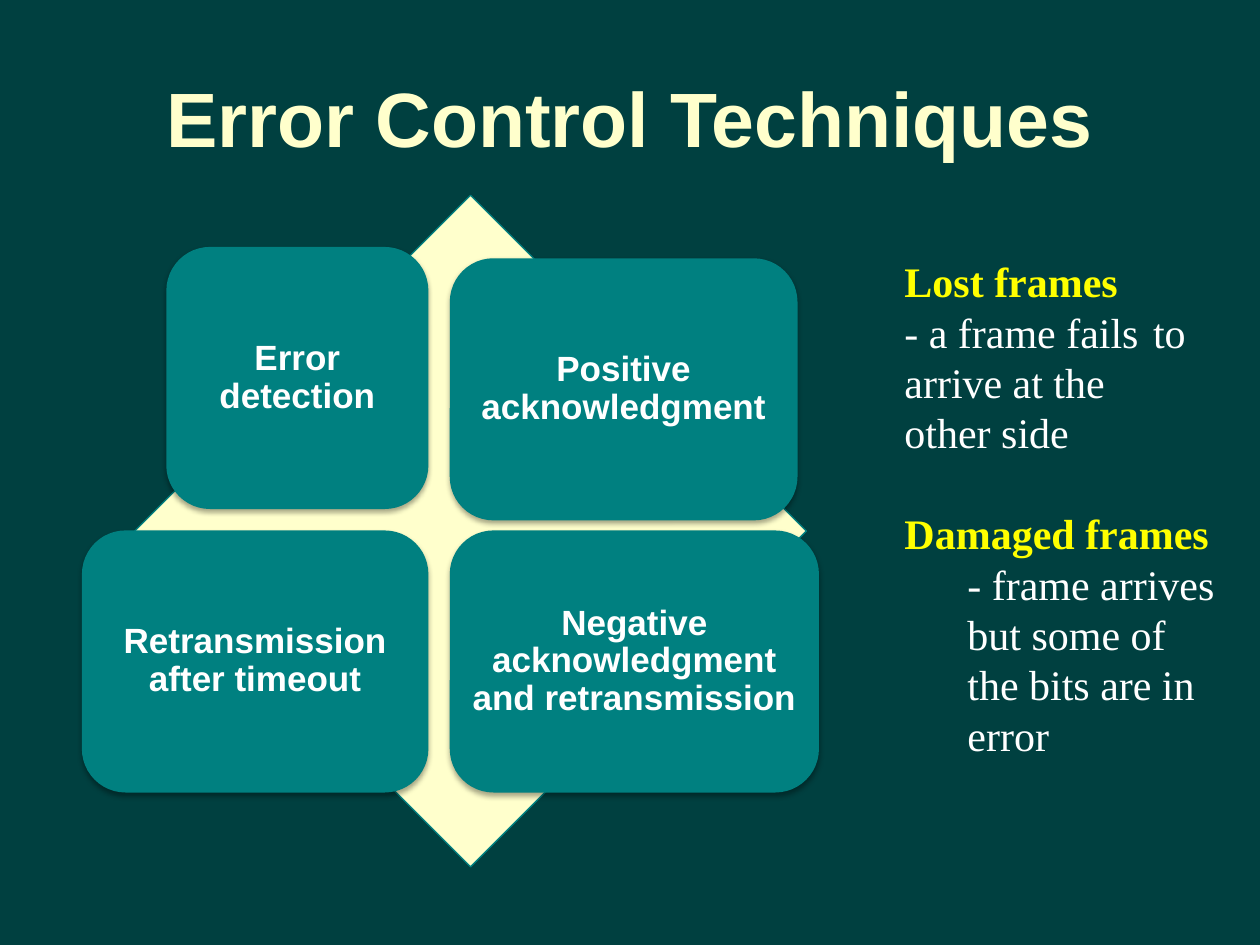
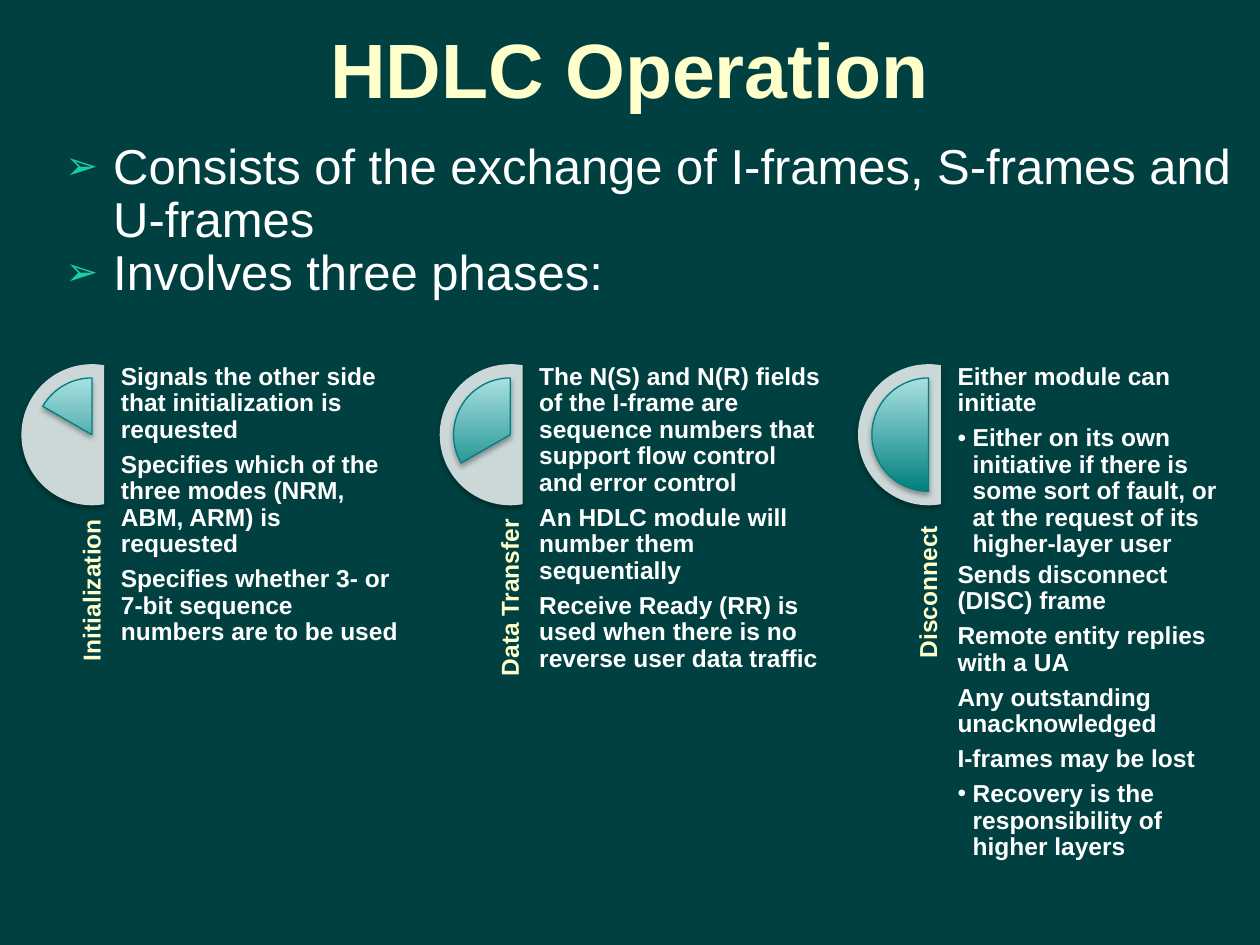
from dataclasses import dataclass

from lxml import etree
from pptx import Presentation
from pptx.dml.color import RGBColor
from pptx.enum.shapes import MSO_SHAPE as SHAPE
from pptx.enum.text import MSO_ANCHOR as ANCHOR, PP_ALIGN as ALIGN
from pptx.oxml import parse_xml
from pptx.oxml.ns import nsdecls, qn
from pptx.util import Inches, Pt


@dataclass(frozen=True)
class Theme:
    background: str = "004040"
    cream: str = "FFFFCC"
    teal: str = "008080"
    pale_teal: str = "A9E0E0"
    dial: str = "CCD8D8"
    white: str = "FFFFFF"
    yellow: str = "FFFF00"
    bullet: str = "1ACE9F"
    sans: str = "Arial"
    serif: str = "Times New Roman"
    title: int = 44
    body: int = 28
    note: int = 24
    card: int = 20
    phase: int = 14


T = Theme()

TECHNIQUES = [
    ("Error detection", (1.32, 1.96, 2.08, 2.08)),
    ("Positive acknowledgment", (3.57, 2.05, 2.76, 2.08)),
    ("Retransmission after timeout", (0.65, 4.21, 2.75, 2.08)),
    ("Negative acknowledgment and retransmission", (3.57, 4.21, 2.93, 2.08)),
]
FRAME_ERRORS = [
    ("Lost frames", "- a frame fails \tto arrive at the \tother side", 0.5),
    ("Damaged frames", "- frame arrives but some of the bits are in error", 1),
]
POINTS = [
    ("Consists of the exchange of I-frames, S-frames and U-frames", (0.42, 1.08, 9.58, 1.35)),
    ("Involves three phases:", (0.42, 1.92, 8.42, 0.98)),
]
PHASES = [
    ("Initialization", [
        (0, "Signals the other side that initialization is requested"),
        (0, "Specifies which of the three modes (NRM, ABM, ARM) is requested"),
        (0, "Specifies whether 3- or 7-bit sequence numbers are to be used"),
    ]),
    ("Data Transfer", [
        (0, "The N(S) and N(R) fields of the I-frame are sequence numbers that "
            "support flow control and error control"),
        (0, "An HDLC module will number them sequentially"),
        (0, "Receive Ready (RR) is used when there is no reverse user data traffic"),
    ]),
    ("Disconnect ", [
        (0, "Either module can initiate"),
        (1, "Either on its own initiative if there is some sort of fault, or at "
            "the request of its higher-layer user"),
        (0, "Sends disconnect (DISC) frame"),
        (0, "Remote entity replies with a UA"),
        (0, "Any outstanding unacknowledged"),
        (0, "I-frames may be lost"),
        (1, "Recovery is the responsibility of higher layers"),
    ]),
]
PHASE_LEFT, PHASE_TOP, PHASE_STEP = 0.17, 2.89, 3.32


def rgb(color):
    return RGBColor.from_string(color)


def inches(box):
    return [Inches(v) for v in box]


def write(p, text, size, color, font=T.sans, bold=True, align=ALIGN.LEFT,
          spacing=None, before=0, after=0):
    p.text = text
    p.alignment = align
    p.line_spacing = spacing
    p.space_before, p.space_after = Pt(before), Pt(after)
    for r in p.runs:
        r.font.size, r.font.bold, r.font.name = Pt(size), bold, font
        r.font.color.rgb = rgb(color)


def indent(p, left, first=0):
    pPr = p._p.get_or_add_pPr()
    pPr.set("marL", str(Inches(left)))
    pPr.set("indent", str(Inches(first)))
    return pPr


def add_bullet(p, char, hang, color=None, percent=100):
    pPr = indent(p, hang, -hang)
    if color:
        clr = etree.SubElement(pPr, qn("a:buClr"))
        etree.SubElement(clr, qn("a:srgbClr")).set("val", color)
    etree.SubElement(pPr, qn("a:buSzPct")).set("val", str(percent * 1000))
    etree.SubElement(pPr, qn("a:buFont")).set("typeface", T.sans)
    etree.SubElement(pPr, qn("a:buChar")).set("char", char)


def set_frame(tf, inset=None, anchor=ANCHOR.TOP):
    tf.word_wrap = True
    tf.vertical_anchor = anchor
    if inset is not None:
        tf.margin_left = tf.margin_right = Inches(inset)
        tf.margin_top = tf.margin_bottom = Inches(inset)
    return tf


def add_text(slide, box, inset=None, anchor=ANCHOR.TOP):
    sp = slide.shapes.add_textbox(*inches(box))
    return sp, set_frame(sp.text_frame, inset, anchor)


def paragraphs(tf, count):
    return [tf.paragraphs[0]] + [tf.add_paragraph() for _ in range(count - 1)]


def add_figure(slide, kind, box, fill, line=None, shadow=True, adjust=()):
    sp = slide.shapes.add_shape(kind, *inches(box))
    for i, value in enumerate(adjust):
        sp.adjustments[i] = value
    if isinstance(fill, tuple):
        sp.fill.gradient()
        sp.fill.gradient_angle = 90
        for stop, color in zip(sp.fill.gradient_stops, fill):
            stop.color.rgb = rgb(color)
    else:
        sp.fill.solid()
        sp.fill.fore_color.rgb = rgb(fill)
    if line:
        sp.line.color.rgb = rgb(line)
        sp.line.width = Pt(0.75)
    else:
        sp.line.fill.background()
    sp.shadow.inherit = False
    if shadow:
        sp._element.spPr.find(qn("a:effectLst")).append(parse_xml(
            f'<a:outerShdw {nsdecls("a")} blurRad="{Pt(3.1)}" dist="{Pt(1.8)}" '
            'dir="5400000" rotWithShape="0"><a:srgbClr val="000000">'
            '<a:alpha val="35000"/></a:srgbClr></a:outerShdw>'))
    return sp


def add_slide(prs, title, box):
    slide = prs.slides.add_slide(prs.slide_layouts[5])
    sp = slide.shapes.title
    sp.left, sp.top, sp.width, sp.height = inches(box)
    tf = set_frame(sp.text_frame, anchor=ANCHOR.MIDDLE)
    write(tf.paragraphs[0], title, T.title, T.cream, align=ALIGN.CENTER)
    return slide


def build_techniques(prs):
    slide = add_slide(prs, "Error Control Techniques", (0.5, 0.3, 9, 1.25))
    add_figure(slide, SHAPE.DIAMOND, (1.07, 1.55, 5.33, 5.33), T.cream, T.teal, shadow=False)
    for text, box in TECHNIQUES:
        card = add_figure(slide, SHAPE.ROUNDED_RECTANGLE, box, T.teal)
        tf = set_frame(card.text_frame, 0.08, ANCHOR.MIDDLE)
        write(tf.paragraphs[0], text, T.card, T.white, align=ALIGN.CENTER, spacing=0.9)
    _, tf = add_text(slide, (6.58, 1.98, 3.17, 4.14))
    ps = paragraphs(tf, 2 * len(FRAME_ERRORS))
    for i, (name, meaning, left) in enumerate(FRAME_ERRORS):
        head, detail = ps[2 * i:2 * i + 2]
        write(head, name, T.note, T.yellow, T.serif, before=28.8 if i else 0)
        write(detail, meaning, T.note, T.white, T.serif, bold=False)
        indent(head, 0.5)
        indent(detail, left)


def add_phase(slide, index, name, notes):
    x, y = PHASE_LEFT + index * PHASE_STEP, PHASE_TOP
    add_figure(slide, SHAPE.CHORD, (x, y, 1.12, 1.12), T.dial, adjust=(48, 168))
    add_figure(slide, SHAPE.PIE, (x + 0.11, y + 0.11, 0.9, 0.9), (T.teal, T.pale_teal),
               T.teal, adjust=(126 - 36 * index, 162))
    label, tf = add_text(slide, (x - 1.29, 5.41, 3.25, 0.67), 0, ANCHOR.BOTTOM)
    label.rotation = 270
    write(tf.paragraphs[0], name, T.phase, T.cream, align=ALIGN.RIGHT, spacing=0.9)
    _, tf = add_text(slide, (x + 0.79, y, 2.24, 4.48), 0)
    for p, (level, text) in zip(paragraphs(tf, len(notes)), notes):
        write(p, text, T.phase, T.white, spacing=0.9, after=2.1 if level else 4.9)
        if level:
            p.level = level
            add_bullet(p, "•", 0.12)


def build_hdlc(prs):
    slide = add_slide(prs, "HDLC Operation", (0.5, 0, 9, 1.08))
    for i, (name, notes) in enumerate(PHASES):
        add_phase(slide, i, name, notes)
    for text, box in POINTS:
        _, tf = add_text(slide, box)
        p = tf.paragraphs[0]
        write(p, text, T.body, T.white, bold=False, spacing=0.9, before=5.6)
        add_bullet(p, "➢", 0.38, T.bullet, 80)


def main():
    prs = Presentation()
    prs.slide_width, prs.slide_height = Inches(10), Inches(7.5)
    fill = prs.slide_master.background.fill
    fill.solid()
    fill.fore_color.rgb = rgb(T.background)
    build_techniques(prs)
    build_hdlc(prs)
    prs.save("out.pptx")


if __name__ == "__main__":
    main()
